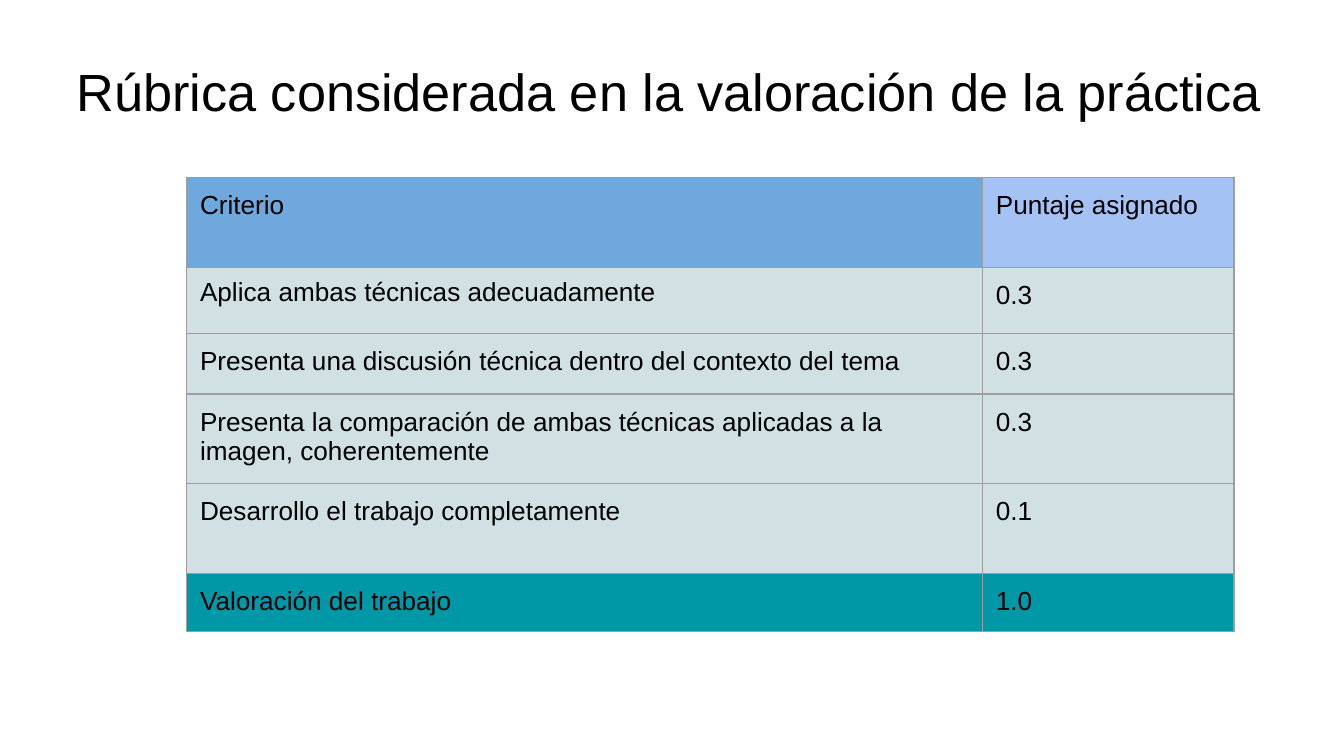
from lxml import etree
from pptx import Presentation
from pptx import util as u
from pptx.dml.color import RGBColor
from pptx.enum import text
from pptx.oxml.ns import qn


def color(code):
    return RGBColor.from_string(code)


def write(frame, words, size=14, lines=None, before=None):
    par = frame.paragraphs[0]
    par.alignment = text.PP_ALIGN.LEFT
    par.line_spacing = lines
    par.space_before = before
    run = par.add_run()
    run.text = words
    run.font.name = "Arial"
    run.font.size = u.Pt(size)
    run.font.bold = False
    run.font.color.rgb = color("000000")


deck = Presentation()
deck.slide_width, deck.slide_height = u.Cm(25.4), u.Cm(14.29)
slide = deck.slides.add_slide(deck.slide_layouts[6])

title = slide.shapes.add_textbox(u.Cm(1.27), u.Cm(0.84), u.Cm(22.86), u.Cm(1.57)).text_frame
title.word_wrap = True
title.vertical_anchor = text.MSO_ANCHOR.BOTTOM
title.margin_left = title.margin_right = u.Cm(0.18)
title.margin_top = title.margin_bottom = u.Cm(0.1)
write(title, "Rúbrica considerada en la valoración de la práctica", size=28, lines=0.85)

# Row height in cm, criterion, score, fill of each cell
pale, teal = "D0E0E3", "0097A7"
rows = [
    (1.7, "Criterio", "Puntaje asignado", "6FA8DC", "A4C2F4"),
    (1.26, "Aplica ambas técnicas adecuadamente", "0.3", pale, pale),
    (1.14, "Presenta una discusión técnica dentro del contexto del tema", "0.3", pale, pale),
    (1.63, "Presenta la comparación de ambas técnicas aplicadas a la imagen, coherentemente",
     "0.3", pale, pale),
    (1.7, "Desarrollo el trabajo completamente", "0.1", pale, pale),
    (1.06, "Valoración del trabajo", "1.0", teal, teal),
]
widths = [15.04, 4.75]
high = sum(row[0] for row in rows)
grid = slide.shapes.add_table(
    len(rows), len(widths), u.Cm(3.53), u.Cm(3.35), u.Cm(sum(widths)), u.Cm(high)).table
for col, width in zip(grid.columns, widths):
    col.width = u.Cm(width)

for r, (tall, name, score, *fills) in enumerate(rows):
    grid.rows[r].height = u.Cm(tall)
    for c, (words, fill) in enumerate(zip((name, score), fills)):
        cell = grid.cell(r, c)
        cell.margin_left = cell.margin_right = u.Cm(0.25)
        cell.margin_top = cell.margin_bottom = u.Cm(0.25)
        if (r, c) == (1, 0):
            write(cell.text_frame, words, lines=0.9, before=u.Pt(9))
        else:
            write(cell.text_frame, words)
        # Borders must come before the fill in the cell properties
        props = cell._tc.get_or_add_tcPr()
        for side in ("a:lnL", "a:lnR", "a:lnT", "a:lnB"):
            line = etree.SubElement(props, qn(side), w=str(u.Pt(0.75)))
            paint = etree.SubElement(line, qn("a:solidFill"))
            etree.SubElement(paint, qn("a:srgbClr"), val="9E9E9E")
        cell.fill.solid()
        cell.fill.fore_color.rgb = color(fill)

deck.save("out.pptx")
